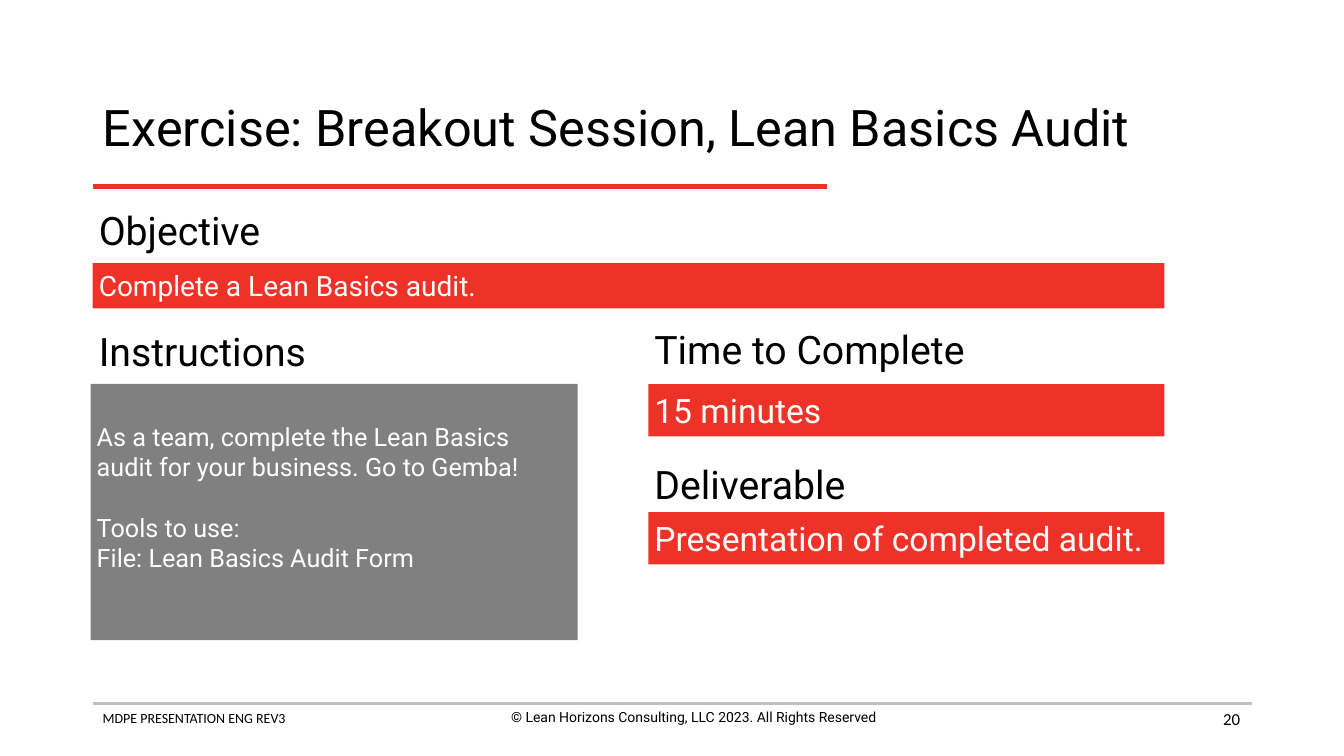
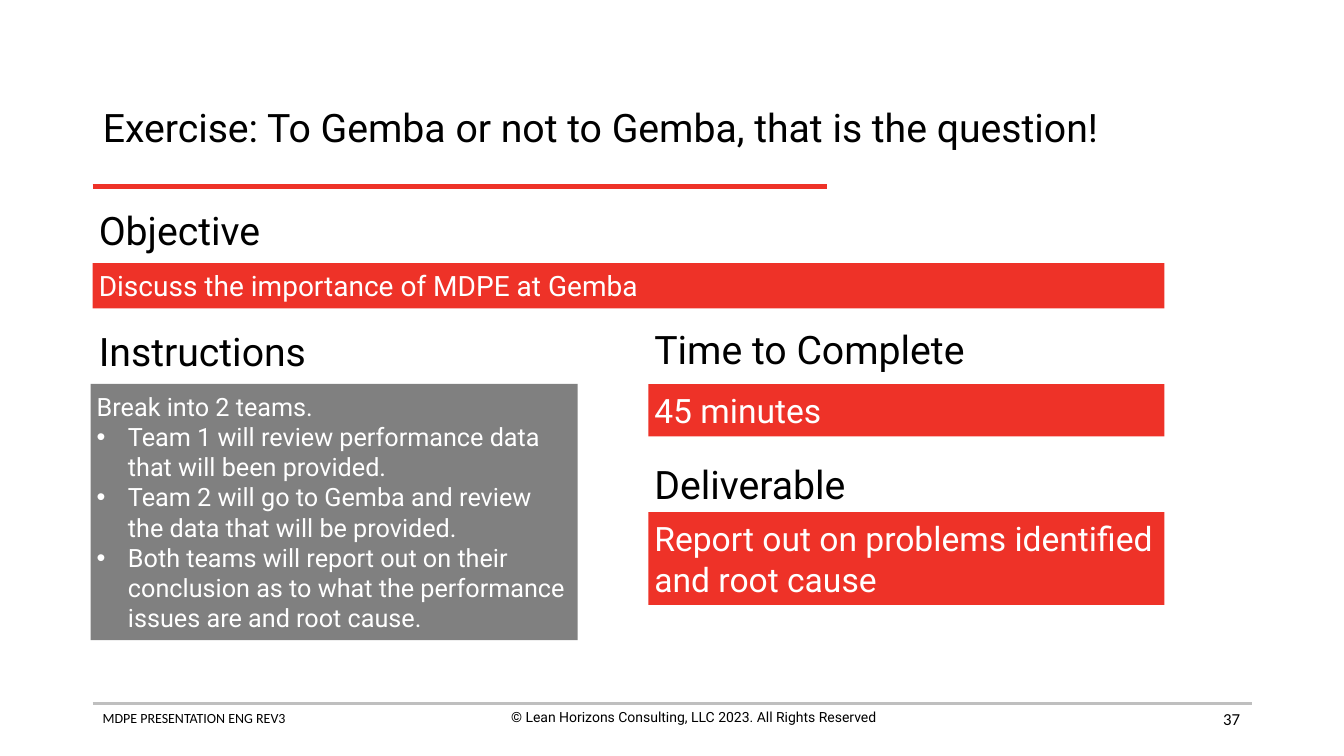
from dataclasses import dataclass

from lxml.etree import SubElement
from pptx import Presentation
from pptx.dml.color import RGBColor
from pptx.enum.shapes import MSO_CONNECTOR, MSO_SHAPE
from pptx.enum.text import MSO_ANCHOR, MSO_AUTO_SIZE, PP_ALIGN
from pptx.oxml.ns import qn
from pptx.util import Emu, Pt

# Content: instructions are (text, style) pairs
FOOTER = "MDPE PRESENTATION ENG REV3"
COPYRIGHT = "© Lean Horizons Consulting, LLC 2023. All Rights Reserved"
EXERCISES = [
    {
        "title": "Exercise: Breakout Session, Lean Basics Audit",
        "title_size": 36,
        "number": "20",
        "objective": "Complete a Lean Basics audit.",
        "instructions": [
            ("As a team, complete the Lean Basics audit for your business. Go to Gemba!", "plain"),
            ("Tools to use:", "spaced"),
            ("File: Lean Basics Audit Form", "plain"),
        ],
        "room_below": 30,
        "time": "15 minutes",
        "deliverable": "Presentation of completed audit.",
        "deliverable_lines": 1,
    },
    {
        "title": "Exercise: To Gemba or not to Gemba, that is the question!",
        "title_size": 28,
        "number": "37",
        "objective": "Discuss the importance of MDPE at Gemba",
        "instructions": [
            ("Break into 2 teams.", "plain"),
            ("Team 1 will review performance data that will been provided.", "bullet"),
            ("Team 2 will go to Gemba and review the data that will be provided.", "bullet"),
            ("Both teams will report out on their conclusion as to what the performance "
             "issues are and root cause.", "bullet"),
        ],
        "room_below": 0,
        "time": "45 minutes",
        "deliverable": "Report out on problems identified and root cause",
        "deliverable_lines": 2,
    },
]


@dataclass(frozen=True)
class Theme:
    red: str = "EE3228"
    grey: str = "808080"
    rule: str = "BFBFBF"
    black: str = "000000"
    white: str = "FFFFFF"
    font: str = "Roboto"
    footer_font: str = "Calibri"
    heading: int = 28
    result: int = 24
    objective: int = 20
    body: int = 18
    number: int = 12
    footer: int = 10


THEME = Theme()

# Layout in px, 100 to the inch
SLIDE_WIDTH, SLIDE_HEIGHT = 1333, 750
LEFT, RIGHT = 92, 1242
BARS_RIGHT = 1155
COLUMN = 643
COLUMN_WIDTH = BARS_RIGHT - COLUMN
PANELS_TOP = 381
HEADING_HEIGHT = 58
RESULT_LINE = 40
INSET = 6
BULLET_INDENT = 31
FOOTER_WIDTH, FOOTER_HEIGHT = 456, 44
HEADINGS = [
    ("Objective", LEFT, 199),
    ("Instructions", LEFT, 319),
    ("Time to Complete", COLUMN, 317),
    ("Deliverable", COLUMN, 451),
]


def px(length):
    return Emu(length * 9144)


def add_bullet(paragraph):
    properties = paragraph._p.get_or_add_pPr()
    properties.set("marL", str(px(BULLET_INDENT)))
    properties.set("indent", str(-px(BULLET_INDENT)))
    SubElement(properties, qn("a:buFont")).set("typeface", "Arial")
    SubElement(properties, qn("a:buChar")).set("char", "•")


def write_text(shape, text, size, color=THEME.black, font=THEME.font, align=PP_ALIGN.LEFT,
               anchor=MSO_ANCHOR.TOP, insets=(10, 5, 10, 5), line_spacing=None):
    """Write a string, or a list of (text, style) pairs, into a shape."""
    frame = shape.text_frame
    frame.word_wrap = True
    frame.auto_size = MSO_AUTO_SIZE.NONE
    frame.vertical_anchor = anchor
    (frame.margin_left, frame.margin_top,
     frame.margin_right, frame.margin_bottom) = map(px, insets)
    lines = [(text, "plain")] if isinstance(text, str) else text
    for index, (line, style) in enumerate(lines):
        paragraph = frame.add_paragraph() if index else frame.paragraphs[0]
        if style == "bullet":
            add_bullet(paragraph)
        elif style == "spaced":
            paragraph.space_before = Pt(size * 1.2)
        paragraph.alignment = align
        if line_spacing:
            paragraph.line_spacing = line_spacing
        run = paragraph.add_run()
        run.text = line
        run.font.size = Pt(size)
        run.font.name = font
        run.font.color.rgb = RGBColor.from_string(color)


def add_label(slide, box, text, size, **text_format):
    write_text(slide.shapes.add_textbox(*map(px, box)), text, size, **text_format)


def add_panel(slide, box, text, size, fill=THEME.red, room_below=0):
    shape = slide.shapes.add_shape(MSO_SHAPE.RECTANGLE, *map(px, box))
    shape.shadow.inherit = False
    shape.fill.solid()
    shape.fill.fore_color.rgb = RGBColor.from_string(fill)
    shape.line.fill.background()
    write_text(shape, text, size, color=THEME.white, anchor=MSO_ANCHOR.MIDDLE,
               insets=(INSET, INSET, INSET, INSET + room_below))


def add_rule(slide, right, y, color, width):
    rule = slide.shapes.add_connector(MSO_CONNECTOR.STRAIGHT, px(LEFT), px(y), px(right), px(y))
    rule.line.color.rgb = RGBColor.from_string(color)
    rule.line.width = Pt(width)
    SubElement(rule._element.spPr, qn("a:effectLst"))


def add_frame(slide, title, title_size, number):
    """Title, rules and footer that every slide carries."""
    add_rule(slide, RIGHT, 698, THEME.rule, 2)
    add_rule(slide, 820, 185, THEME.red, 3)
    add_label(slide, (LEFT, 699, FOOTER_WIDTH, FOOTER_HEIGHT), FOOTER, THEME.footer,
              font=THEME.footer_font)
    add_label(slide, (460, 698, FOOTER_WIDTH, FOOTER_HEIGHT), COPYRIGHT, THEME.footer,
              align=PP_ALIGN.CENTER)
    add_label(slide, (940, 693, 300, 40), number, THEME.number, font=THEME.footer_font,
              align=PP_ALIGN.RIGHT, anchor=MSO_ANCHOR.MIDDLE)
    heading = slide.shapes.title
    heading.left, heading.top, heading.width, heading.height = map(
        px, (LEFT, 74, RIGHT - LEFT, 110))
    write_text(heading, title, title_size, anchor=MSO_ANCHOR.MIDDLE, line_spacing=0.9)


def add_exercise(presentation, exercise):
    slide = presentation.slides.add_slide(presentation.slide_layouts.get_by_name("Title Only"))
    add_frame(slide, exercise["title"], exercise["title_size"], exercise["number"])

    # Section headings
    for text, left, top in HEADINGS:
        add_label(slide, (left, top, COLUMN_WIDTH, HEADING_HEIGHT), text, THEME.heading,
                  insets=(INSET,) * 4)

    # Filled panels
    add_panel(slide, (LEFT, 261, BARS_RIGHT - LEFT, 45), exercise["objective"], THEME.objective)
    add_panel(slide, (90, PANELS_TOP, 483, 254), exercise["instructions"], THEME.body,
              fill=THEME.grey, room_below=exercise["room_below"])
    results = [
        (PANELS_TOP, exercise["time"], 1),
        (508, exercise["deliverable"], exercise["deliverable_lines"]),
    ]
    for top, text, line_count in results:
        height = 2 * INSET + RESULT_LINE * line_count
        add_panel(slide, (COLUMN, top, COLUMN_WIDTH, height), text, THEME.result)


def main():
    presentation = Presentation()
    presentation.slide_width = px(SLIDE_WIDTH)
    presentation.slide_height = px(SLIDE_HEIGHT)
    for exercise in EXERCISES:
        add_exercise(presentation, exercise)
    presentation.save("out.pptx")


if __name__ == "__main__":
    main()
